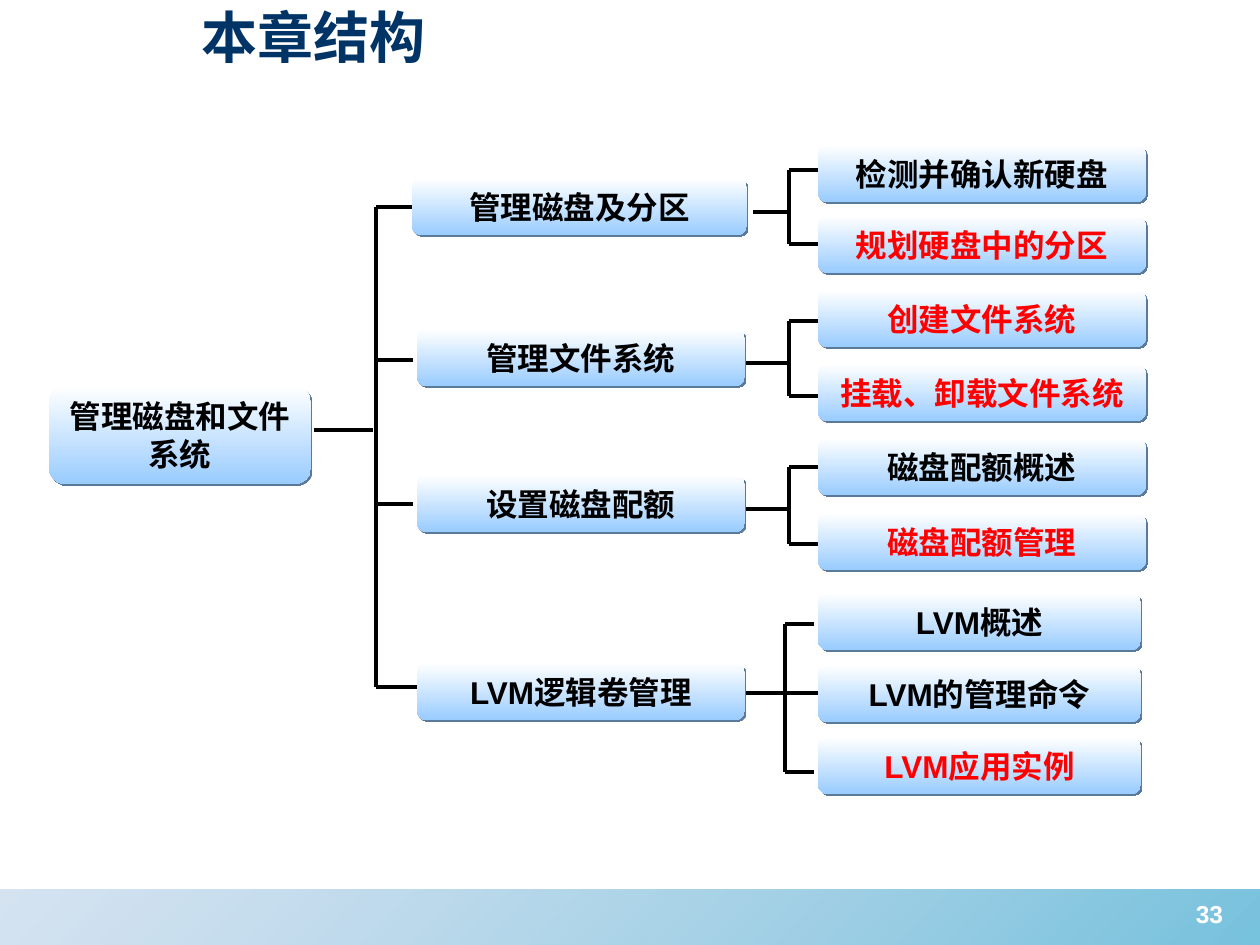
"""Builds the chapter structure slide: a tree of topics on disks and file systems."""
from lxml import etree
from pptx import Presentation
from pptx.dml.color import RGBColor
from pptx.enum.shapes import MSO_CONNECTOR, MSO_SHAPE
from pptx.enum.text import MSO_ANCHOR, PP_ALIGN
from pptx.oxml import parse_xml
from pptx.oxml.ns import nsdecls, qn
from pptx.util import Pt

EMU_PER_PX = 914400 / 126
STRAIGHT = MSO_CONNECTOR.STRAIGHT
RECTANGLE = MSO_SHAPE.RECTANGLE
ROUNDED = MSO_SHAPE.ROUNDED_RECTANGLE
MIDDLE = MSO_ANCHOR.MIDDLE
LEFT, CENTER = PP_ALIGN.LEFT, PP_ALIGN.CENTER

NAVY = RGBColor(0x00, 0x33, 0x66)
BLACK = RGBColor(0x00, 0x00, 0x00)
RED = RGBColor(0xFF, 0x00, 0x00)
WHITE = RGBColor(0xFF, 0xFF, 0xFF)
SKY = RGBColor(0x99, 0xCC, 0xFF)
TEAL = RGBColor(0x1C, 0x99, 0xC6)
STEEL = RGBColor(0x88, 0xB0, 0xD8)
SHADOW = RGBColor(0x5B, 0x79, 0x98)

BOX_HEIGHT = 57
TOPICS = [
    ("管理磁盘和文件系统", 49, 386, 262, 98, BLACK),
    ("管理磁盘及分区", 412, 178, 335, BOX_HEIGHT, BLACK),
    ("管理文件系统", 417, 329, 328, BOX_HEIGHT, BLACK),
    ("设置磁盘配额", 417, 475, 328, BOX_HEIGHT, BLACK),
    ("LVM逻辑卷管理", 417, 663, 328, BOX_HEIGHT, BLACK),
    ("检测并确认新硬盘", 818, 145, 328, BOX_HEIGHT, BLACK),
    ("规划硬盘中的分区", 818, 216, 328, BOX_HEIGHT, RED),
    ("创建文件系统", 818, 290, 328, BOX_HEIGHT, RED),
    ("挂载、卸载文件系统", 818, 364, 328, BOX_HEIGHT, RED),
    ("磁盘配额概述", 818, 438, 328, BOX_HEIGHT, BLACK),
    ("磁盘配额管理", 818, 513, 328, BOX_HEIGHT, RED),
    ("LVM概述", 818, 593, 323, BOX_HEIGHT, BLACK),
    ("LVM的管理命令", 818, 665, 323, BOX_HEIGHT, BLACK),
    ("LVM应用实例", 818, 737, 323, BOX_HEIGHT, RED),
]
BRACKETS = [
    (314, 373, 430, 376, [(207, 412), (360, 413), (504, 413), (687, 417)]),
    (753, 789, 212, 789, [(170, 819), (244, 819)]),
    (740, 789, 363, 789, [(321, 819), (396, 819)]),
    (740, 789, 509, 789, [(467, 819), (544, 819)]),
    (746, 785, 693, 785, [(624, 814), (693, 819), (772, 814)]),
]


def emu(*lengths):
    return [round(length * EMU_PER_PX) for length in lengths]


def style_text(shape, text, size, color, alignment):
    shape.text_frame.text = text
    shape.text_frame.word_wrap = True
    paragraph = shape.text_frame.paragraphs[0]
    paragraph.alignment = alignment
    font = paragraph.runs[0].font
    font.name, font.size, font.bold = "Arial", Pt(size), True
    font.color.rgb = color


presentation = Presentation()
presentation.slide_width, presentation.slide_height = emu(1260, 945)
slide = presentation.slides.add_slide(presentation.slide_layouts[5])
shapes = slide.shapes

title = shapes.title
title.left, title.top, title.width, title.height = emu(189, -4, 1017, 81)
style_text(title, "本章结构", 32, NAVY, LEFT)
title.text_frame.vertical_anchor = MIDDLE

footer = shapes.add_shape(RECTANGLE, *emu(0, 890, 1260, 55))
footer.shadow.inherit = False
footer.line.fill.background()
footer.fill.gradient()
footer.fill.gradient_angle = 135
for stop, color, opacity in zip(footer.fill.gradient_stops, (TEAL, STEEL), (60, 35)):
    stop.color.rgb = color
for element, opacity in zip(footer.fill._xPr.iter(qn("a:srgbClr")), (60, 35)):
    etree.SubElement(element, qn("a:alpha")).set("val", str(opacity * 1000))

segments = []
for stem_start, stem_end, stem_y, spine_x, twigs in BRACKETS:
    segments.append((stem_start, stem_y, stem_end, stem_y))
    segments.append((spine_x, twigs[0][0], spine_x, twigs[-1][0]))
    segments += [(spine_x, y, twig_end, y) for y, twig_end in twigs]

for segment in segments:
    connector = shapes.add_connector(STRAIGHT, *emu(*segment))
    connector.line.color.rgb = BLACK
    connector.line.width = Pt(2.25)
    etree.SubElement(connector._element.spPr, qn("a:effectLst"))

for text, left, top, width, height, color in TOPICS:
    box = shapes.add_shape(ROUNDED, *emu(left, top, width, height))
    box.line.fill.background()
    box.fill.gradient()
    box.fill.gradient_angle = 270
    for stop, stop_color in zip(box.fill.gradient_stops, (WHITE, SKY)):
        stop.color.rgb = stop_color
    box.shadow.inherit = False
    box._element.spPr.find(qn("a:effectLst")).append(parse_xml(
        f'<a:outerShdw {nsdecls("a")} dist="17780" dir="2700000" algn="ctr" rotWithShape="0">'
        f'<a:srgbClr val="{SHADOW}"/></a:outerShdw>'))
    style_text(box, text, 18, color, CENTER)
    box.text_frame.vertical_anchor = MIDDLE

page_number = shapes.add_textbox(*emu(1164, 893, 91, 66))
style_text(page_number, "33", 14, WHITE, CENTER)

presentation.save("out.pptx")
